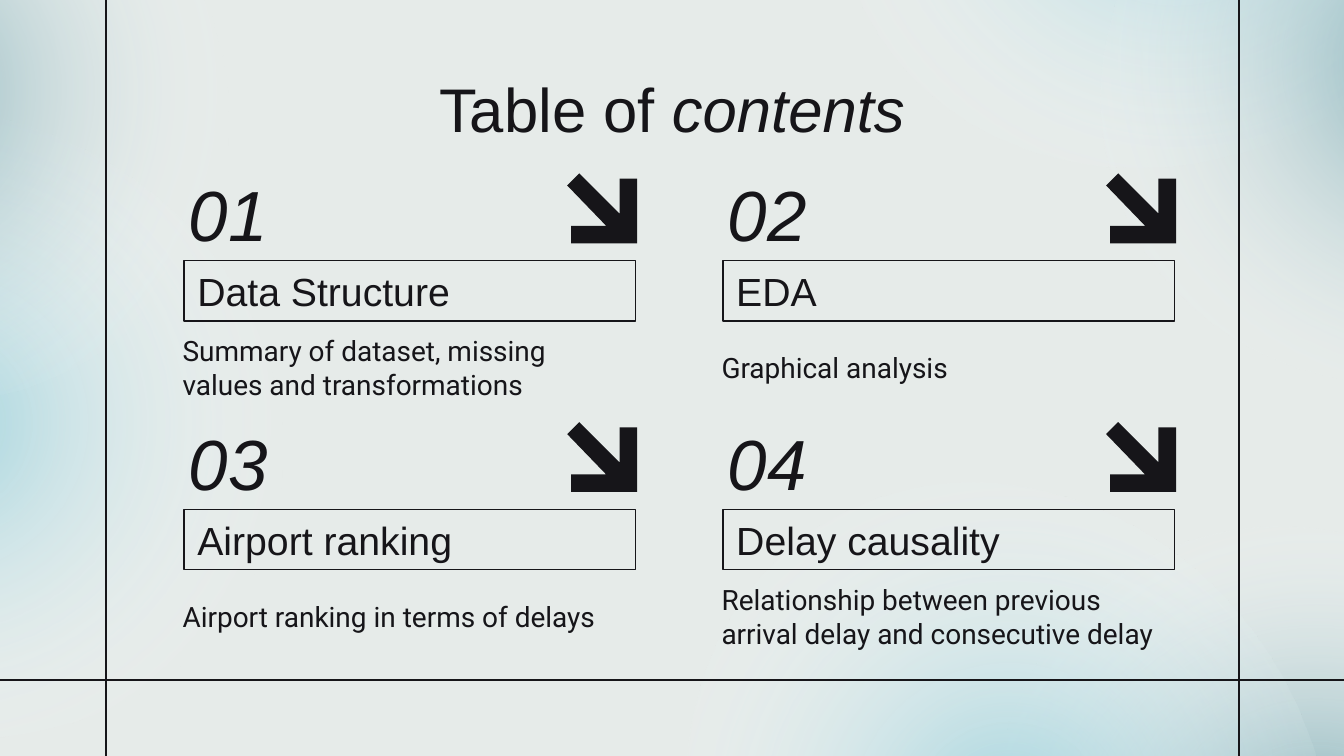
from typing import NamedTuple

from lxml import etree
from pptx import Presentation
from pptx.dml.color import RGBColor
from pptx.enum import shapes, text
from pptx.oxml import ns, parse_xml
from pptx.util import Inches, Pt

COLORS = {
    "background": "E6EBE9",
    "ink": "161519",
    "teal": "4E909E",
    "aqua": "80C8D8",
    "fade": "FFFFFF",
}
LEFT, CENTER = text.PP_ALIGN.LEFT, text.PP_ALIGN.CENTER

GLOW_SIZE = (5.22, 4.6)
COLUMN_LEFT, COLUMN_PITCH = 1.26, 4.01
ROW_TOP, ROW_PITCH = 1.24, 1.85
# Arrow outline in hundredths of an inch
ARROW_POINTS = [(9, 0), (0, 9), (29, 39), (3, 39), (3, 52),
                (52, 52), (52, 4), (39, 4), (39, 30)]


class Glow(NamedTuple):
    left: float
    top: float
    rotation: float
    color: str
    opacity: int


class Rule(NamedTuple):
    x1: float
    y1: float
    x2: float
    y2: float


class Section(NamedTuple):
    heading: str
    description: str


GLOWS = [
    Glow(7.18, 4.14, 237.1, "teal", 81),
    Glow(4.89, 3.81, 237.1, "aqua", 68),
    Glow(-3.08, 0.84, 202, "aqua", 68),
    Glow(-3.48, -1.63, 202, "teal", 68),
    Glow(6.13, -3.44, 149, "aqua", 68),
    Glow(8.11, -1.83, 149, "teal", 68),
]
RULES = [
    Rule(9.22, -0.32, 9.22, 6.25),
    Rule(0.79, -0.32, 0.79, 6.25),
    Rule(10.06, 5.06, -0.05, 5.06),
]
SECTIONS = [
    Section("Data Structure", "Summary of dataset, missing values and transformations"),
    Section("EDA", "Graphical analysis"),
    Section("Airport ranking", "Airport ranking in terms of delays"),
    Section("Delay causality", "Relationship between previous arrival delay and consecutive delay"),
]


def rgb(name: str) -> RGBColor:
    return RGBColor.from_string(COLORS[name])


def add_glow(slide, glow: Glow) -> None:
    """Draw an ellipse whose radial gradient fades to fully transparent."""
    ellipse = slide.shapes.add_shape(
        shapes.MSO_SHAPE.OVAL, Inches(glow.left), Inches(glow.top),
        *map(Inches, GLOW_SIZE))
    ellipse.rotation = glow.rotation
    ellipse.shadow.inherit = False
    ellipse.line.fill.background()
    stops = [(0, glow.color, glow.opacity), (58, "fade", 0), (100, "fade", 0)]
    stop_xml = "".join(
        f'<a:gs pos="{position * 1000}"><a:srgbClr val="{COLORS[color]}">'
        f'<a:alpha val="{opacity * 1000}"/></a:srgbClr></a:gs>'
        for position, color, opacity in stops)
    gradient = parse_xml(
        f'<a:gradFill {ns.nsdecls("a")} rotWithShape="1"><a:gsLst>{stop_xml}</a:gsLst>'
        '<a:path path="circle"><a:fillToRect l="50000" t="50000" r="50000" b="50000"/>'
        '</a:path><a:tileRect/></a:gradFill>')
    ellipse._element.spPr.find(ns.qn("a:prstGeom")).addnext(gradient)


def add_rule(slide, rule: Rule) -> None:
    line = slide.shapes.add_connector(
        shapes.MSO_CONNECTOR.STRAIGHT, *map(Inches, rule))
    line.line.color.rgb = rgb("ink")
    line.line.width = Pt(0.75)
    etree.SubElement(line._element.spPr, ns.qn("a:effectLst"))


def add_label(slide, wording: str, left: float, top: float, width: float,
              height: float, size: float, font: str = "Arial", align=LEFT,
              italic: bool = False, boxed: bool = False):
    """Add one paragraph, in an outlined rectangle if boxed, and return it."""
    bounds = [Inches(value) for value in (left, top, width, height)]
    if boxed:
        label = slide.shapes.add_shape(shapes.MSO_SHAPE.RECTANGLE, *bounds)
        label.shadow.inherit = False
        label.fill.background()
        label.line.color.rgb = rgb("ink")
        label.line.width = Pt(0.75)
    else:
        label = slide.shapes.add_textbox(*bounds)
    frame = label.text_frame
    frame.word_wrap = True
    frame.vertical_anchor = text.MSO_ANCHOR.MIDDLE
    frame.margin_left = frame.margin_right = Inches(0.1)
    frame.margin_top = frame.margin_bottom = Inches(0.1)
    paragraph = frame.paragraphs[0]
    paragraph.alignment = align
    paragraph.add_run().text = wording
    paragraph.font.size = Pt(size)
    paragraph.font.name = font
    paragraph.font.italic = italic
    paragraph.font.color.rgb = rgb("ink")
    return paragraph


def add_arrow(slide, left: float, top: float) -> None:
    start, *rest = ARROW_POINTS
    outline = slide.shapes.build_freeform(*start, scale=Inches(0.01))
    outline.add_line_segments(rest, close=True)
    arrow = outline.convert_to_shape(Inches(left), Inches(top))
    arrow.shadow.inherit = False
    arrow.fill.solid()
    arrow.fill.fore_color.rgb = rgb("ink")
    arrow.line.fill.background()


def add_section(slide, index: int, section: Section) -> None:
    row, column = divmod(index, 2)
    left = COLUMN_LEFT + column * COLUMN_PITCH
    top = ROW_TOP + row * ROW_PITCH
    add_label(slide, f"{index + 1:02}", left, top, 0.88, 0.69, 38,
              align=CENTER, italic=True)
    add_label(slide, section.heading, left + 0.11, top + 0.7, 3.36, 0.45, 21, boxed=True)
    add_label(slide, section.description, left, top + 1.21, 3.48, 0.57, 15, font="Roboto")
    add_arrow(slide, left + 2.96, top + 0.05)


def main() -> None:
    deck = Presentation()
    deck.slide_width = Inches(10)
    deck.slide_height = Inches(10 * 9 / 16)
    slide = deck.slides.add_slide(deck.slide_layouts[6])
    slide.background.fill.solid()
    slide.background.fill.fore_color.rgb = rgb("background")

    for glow in GLOWS:
        add_glow(slide, glow)
    for rule in RULES:
        add_rule(slide, rule)

    title = add_label(slide, "Table of ", 0.78, 0.49, 8.44, 0.63, 33, align=CENTER)
    emphasis = title.add_run()
    emphasis.text = "contents"
    emphasis.font.italic = True

    for index, section in enumerate(SECTIONS):
        add_section(slide, index, section)

    deck.save("out.pptx")


if __name__ == "__main__":
    main()
